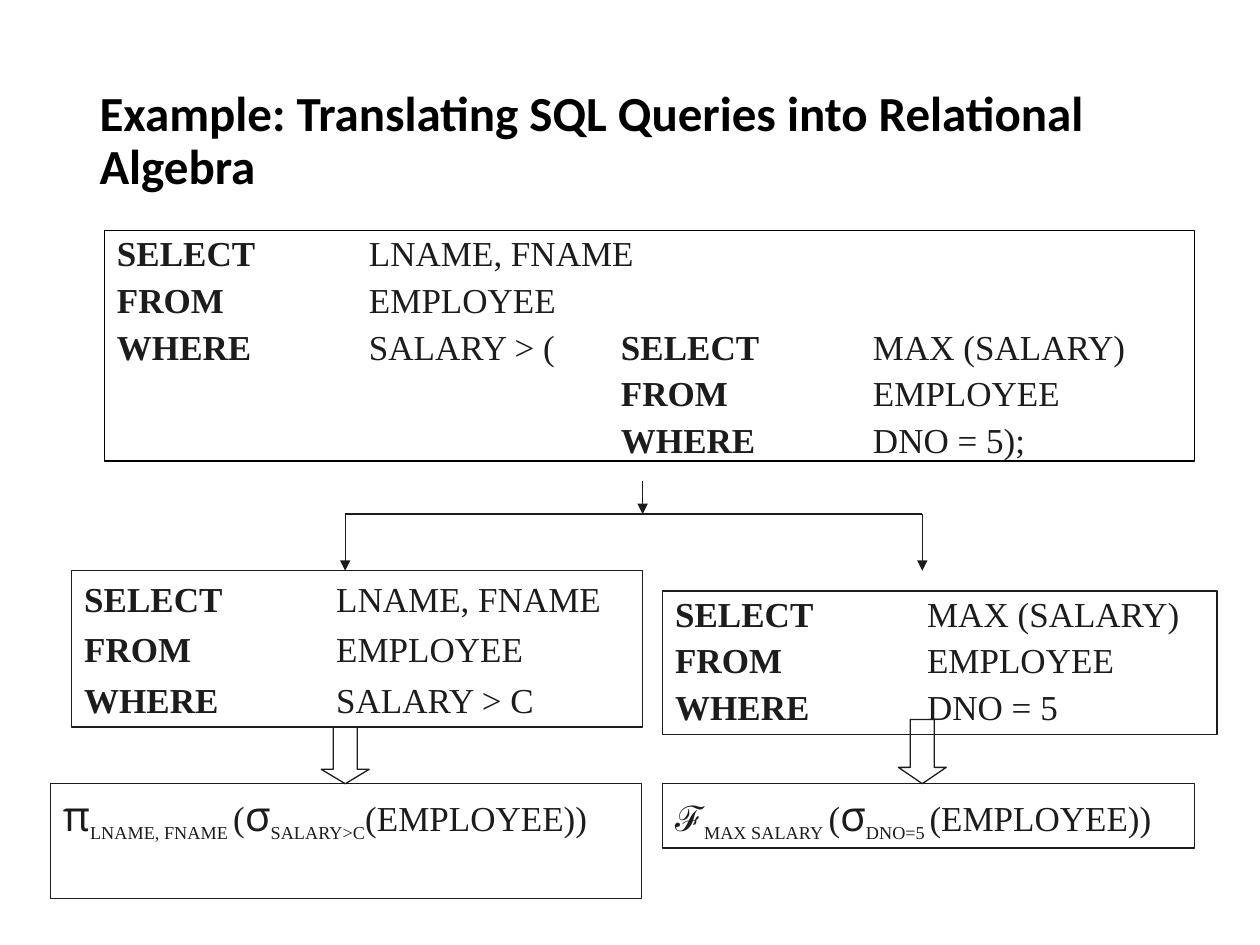
from lxml import etree
from pptx import Presentation
from pptx.dml.color import RGBColor
from pptx.enum.shapes import MSO_CONNECTOR, MSO_SHAPE
from pptx.enum.text import MSO_ANCHOR, PP_ALIGN
from pptx.oxml.ns import qn
from pptx.util import Inches, Pt

RECT, DOWN_ARROW = MSO_SHAPE.RECTANGLE, MSO_SHAPE.DOWN_ARROW
STRAIGHT = MSO_CONNECTOR.STRAIGHT
TOP, MIDDLE = MSO_ANCHOR.TOP, MSO_ANCHOR.MIDDLE
LEFT = PP_ALIGN.LEFT

BLACK, INK = "000000", "1C1C1C"
SERIF, SYMBOL = "Times New Roman", "Open Sans"
TAB_STEP = 2

TITLE = "Example: Translating SQL Queries into Relational Algebra"

QUERIES = [
    {"at": (0.83, 1.83, 8.65, 1.83), "line": BLACK, "spacing": 0.9, "anchor": TOP, "rows": [
        ["SELECT", "LNAME, FNAME"],
        ["FROM", "EMPLOYEE"],
        ["WHERE", "SALARY > (", "SELECT", "MAX (SALARY)"],
        ["", "", "FROM", "EMPLOYEE"],
        ["", "", "WHERE", "DNO = 5);"]]},
    {"at": (5.26, 4.69, 4.4, 1.14), "line": INK, "spacing": 0.9, "anchor": TOP, "rows": [
        ["SELECT", "MAX (SALARY)"],
        ["FROM", "EMPLOYEE"],
        ["WHERE", "DNO = 5"]]},
    {"at": (0.57, 4.53, 4.53, 1.24), "line": INK, "spacing": 1.0, "anchor": MIDDLE, "rows": [
        ["SELECT", "LNAME, FNAME"],
        ["FROM", "EMPLOYEE"],
        ["WHERE", "SALARY > C"]]},
]

STYLES = {
    "greek": (24, SYMBOL, 0),
    "script": (20, "Arial", 0),
    "plain": (20, SERIF, 0),
    "sub": (18, SERIF, -25000),
    "gap": (20, SERIF, -25000),
}
FORMULAS = [
    ((0.4, 6.22, 4.69, 0.91), [
        ("π", "greek"), ("LNAME, FNAME", "sub"), (" ", "gap"), ("(", "plain"),
        ("σ", "greek"), ("SALARY>C", "sub"), ("(EMPLOYEE))", "plain")]),
    ((5.26, 6.22, 4.22, 0.51), [
        ("ℱ", "script"), ("MAX SALARY", "sub"), (" ", "gap"), ("(", "plain"),
        ("σ", "greek"), ("DNO=5 ", "sub"), ("(EMPLOYEE))", "plain")]),
]

TRUNK_X, LEFT_X, RIGHT_X = 5.1, 2.74, 7.32
TRUNK_Y, BRANCH_Y, END_Y = 3.82, 4.08, 4.53
LINKS = [
    ((TRUNK_X, TRUNK_Y), (TRUNK_X, BRANCH_Y), True),
    ((LEFT_X, BRANCH_Y), (RIGHT_X, BRANCH_Y), False),
    ((LEFT_X, BRANCH_Y), (LEFT_X, END_Y), True),
    ((RIGHT_X, BRANCH_Y), (RIGHT_X, END_Y), True),
]
BLOCK_ARROWS = [(LEFT_X, 5.77, 0.3), (RIGHT_X, 5.71, 0.34)]
ARROW_WIDTH, ARROW_END = 0.38, 6.22


def color(value):
    return RGBColor.from_string(value)


def add_span(para, text, size=20, font=SERIF, bold=False, ink=INK, baseline=0):
    span = para.add_run()
    span.text = text
    span.font.size = Pt(size)
    span.font.name = font
    span.font.bold = bold
    span.font.color.rgb = color(ink)
    if baseline:
        span.font._element.set("baseline", str(baseline))


def add_outline(page, kind, at, line):
    shape = page.shapes.add_shape(kind, *map(Inches, at))
    shape.shadow.inherit = False
    shape.fill.background()
    shape.line.color.rgb = color(line)
    shape.line.width = Pt(0.75)
    return shape


def add_text_box(page, at, line, anchor):
    frame = add_outline(page, RECT, at, line).text_frame
    frame.word_wrap = True
    frame.vertical_anchor = anchor
    frame.margin_right = 0
    frame.paragraphs[0].alignment = LEFT
    return frame


def add_tabs(para, count):
    tabs = etree.SubElement(para._p.get_or_add_pPr(), qn("a:tabLst"))
    for stop in range(1, count + 1):
        etree.SubElement(tabs, qn("a:tab"), pos=str(Inches(stop * TAB_STEP)), algn="l")


def add_query(page, query):
    frame = add_text_box(page, query["at"], query["line"], query["anchor"])
    for index, row in enumerate(query["rows"]):
        para = frame.add_paragraph() if index else frame.paragraphs[0]
        add_tabs(para, len(row) - 1)
        para.alignment = LEFT
        para.line_spacing = query["spacing"]
        para.space_before = Pt(5 if index else 0)
        for column, text in enumerate(row):
            add_span(para, "\t" * (column > 0) + text, bold=column % 2 == 0)


def add_formula(page, at, parts):
    para = add_text_box(page, at, INK, TOP).paragraphs[0]
    for text, style in parts:
        size, font, baseline = STYLES[style]
        add_span(para, text, size, font, baseline=baseline)


def add_link(page, start, end, pointed):
    link = page.shapes.add_connector(STRAIGHT, *map(Inches, start + end))
    link.line.color.rgb = color(INK)
    link.line.width = Pt(0.75)
    if pointed:
        etree.SubElement(link.line._get_or_add_ln(), qn("a:tailEnd"), type="triangle")
    etree.SubElement(link._element.spPr, qn("a:effectLst"))


def add_title(page):
    title = page.shapes.title
    title.left, title.top, title.width, title.height = map(Inches, (0.69, 0.4, 8.62, 1.45))
    title.text_frame.vertical_anchor = MIDDLE
    para = title.text_frame.paragraphs[0]
    para.alignment = LEFT
    para.line_spacing = 0.9
    add_span(para, TITLE, 28, "Calibri", True, BLACK)


def main():
    deck = Presentation()
    deck.slide_width, deck.slide_height = Inches(10), Inches(7.5)
    page = deck.slides.add_slide(deck.slide_layouts[5])
    add_title(page)
    for query in QUERIES:
        add_query(page, query)
    for link in LINKS:
        add_link(page, *link)
    for at, parts in FORMULAS:
        add_formula(page, at, parts)
    for center, top, head in BLOCK_ARROWS:
        at = (center - ARROW_WIDTH / 2, top, ARROW_WIDTH, ARROW_END - top)
        arrow = add_outline(page, DOWN_ARROW, at, INK)
        arrow.adjustments[0] = 0.5
        arrow.adjustments[1] = head
    deck.save("out.pptx")


if __name__ == "__main__":
    main()
